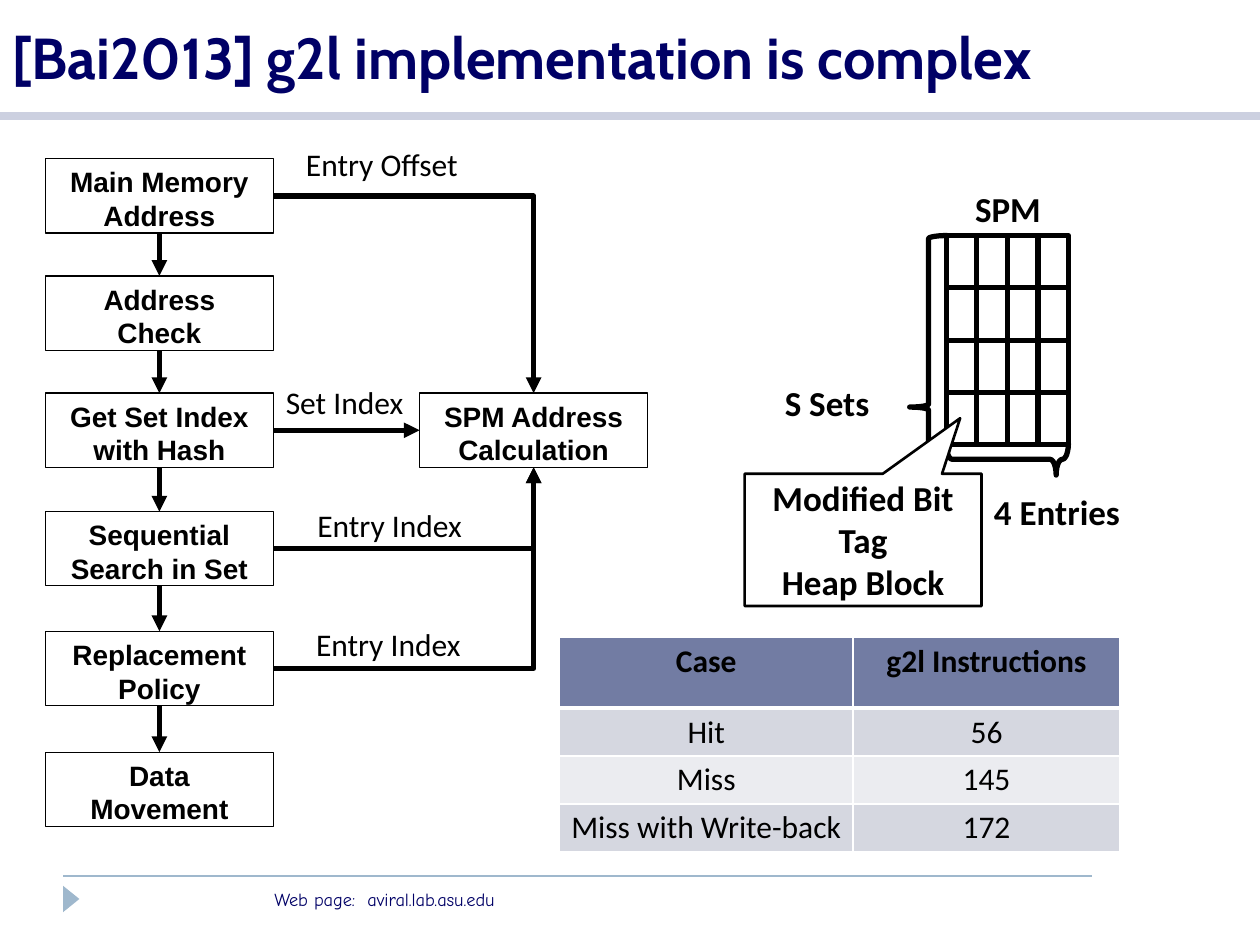
from lxml.etree import SubElement
from pptx import Presentation
from pptx.dml.color import RGBColor
from pptx.enum.shapes import MSO_CONNECTOR, MSO_SHAPE
from pptx.enum.text import MSO_ANCHOR, PP_ALIGN
from pptx.oxml.ns import qn
from pptx.util import Inches, Pt

COLORS = {
    "black": "000000", "white": "FFFFFF", "navy": "000066", "rule": "CCD0E0",
    "footer": "9FB8CD", "header": "727CA3", "band": "D5D7E0", "plain": "EBECF0",
}


def rgb(name):
    return RGBColor.from_string(COLORS[name])


class Deck:
    """Holds the style and the current slide, and draws each kind of element."""

    def __init__(self, prs):
        self.s = prs.slides.add_slide(prs.slide_layouts[6])

    def fill_text(self, tf, text, size, font="Calibri", color="black", bold=False,
                  align=PP_ALIGN.LEFT, anchor=MSO_ANCHOR.TOP):
        tf.text = text
        tf.word_wrap = True
        tf.vertical_anchor = anchor
        for p in tf.paragraphs:
            p.alignment = align
            for r in p.runs:
                r.font.size = Pt(size)
                r.font.name = font
                r.font.bold = bold
                r.font.color.rgb = rgb(color)

    def text(self, x, y, w, h, text, size, **style):
        sp = self.s.shapes.add_textbox(Inches(x), Inches(y), Inches(w), Inches(h))
        self.fill_text(sp.text_frame, text, size, **style)

    def shape(self, kind, x, y, w, h, fill=None, line=None, width=1, adj=(), rotation=0):
        sp = self.s.shapes.add_shape(kind, Inches(x), Inches(y), Inches(w), Inches(h))
        sp.shadow.inherit = False
        sp.rotation = rotation
        for i, value in enumerate(adj):
            sp.adjustments[i] = value
        if fill:
            sp.fill.solid()
            sp.fill.fore_color.rgb = rgb(fill)
        else:
            sp.fill.background()
        if line:
            sp.line.color.rgb = rgb(line)
            sp.line.width = Pt(width)
        else:
            sp.line.fill.background()
        return sp

    def box(self, x, y, text):
        sp = self.shape(MSO_SHAPE.RECTANGLE, x, y, 1.81, 0.59, "white", "black", 0.75)
        self.fill_text(sp.text_frame, text, 16, font="Arial", bold=True,
                       align=PP_ALIGN.CENTER)
        sp.text_frame.vertical_anchor = MSO_ANCHOR.TOP
        return sp

    def line(self, x1, y1, x2, y2, color="black", width=3, kind=MSO_CONNECTOR.STRAIGHT):
        c = self.s.shapes.add_connector(kind, Inches(x1), Inches(y1), Inches(x2), Inches(y2))
        c.line.color.rgb = rgb(color)
        c.line.width = Pt(width)
        SubElement(c._element.spPr, qn("a:effectLst"))
        return c

    def arrow(self, start, start_side, end, end_side, bent=False):
        kind = MSO_CONNECTOR.ELBOW if bent else MSO_CONNECTOR.STRAIGHT
        c = self.line(0, 0, 1, 1, kind=kind)
        c.begin_connect(start, start_side)
        c.end_connect(end, end_side)
        spPr = c._element.spPr
        if bent:
            spPr.find(qn("a:prstGeom")).set("prst", "bentConnector2")
        SubElement(spPr.find(qn("a:ln")), qn("a:tailEnd"), type="triangle")

    def cell(self, cell, text, fill, bold, top, bottom):
        cell.margin_left = cell.margin_right = Inches(0.08)
        cell.margin_top = cell.margin_bottom = Inches(0.04)
        self.fill_text(cell.text_frame, text, 18, bold=bold, align=PP_ALIGN.CENTER)
        tcPr = cell._tc.get_or_add_tcPr()
        for side, width in (("L", 1), ("R", 1), ("T", top), ("B", bottom)):
            ln = SubElement(tcPr, qn(f"a:ln{side}"), w=str(Pt(width)))
            SubElement(SubElement(ln, qn("a:solidFill")), qn("a:srgbClr"), val=COLORS["white"])
        cell.fill.solid()
        cell.fill.fore_color.rgb = rgb(fill)

    def table(self, x, y, widths, heights, rows):
        table = self.s.shapes.add_table(
            len(rows), len(widths), Inches(x), Inches(y),
            Inches(sum(widths)), Inches(sum(heights))).table
        for col, width in zip(table.columns, widths):
            col.width = Inches(width)
        for i, (row, height) in enumerate(zip(rows, heights)):
            table.rows[i].height = Inches(height)
            fill = "header" if i == 0 else "band" if i % 2 else "plain"
            for j, value in enumerate(row):
                self.cell(table.cell(i, j), value, fill, i == 0,
                          3 if i == 1 else 1, 3 if i == 0 else 1)


def draw_frame(deck):
    deck.line(0.5, 6.95, 8.67, 6.95, "footer", 1)
    deck.line(0, 0.92, 10, 0.92, "rule", 5)
    deck.shape(MSO_SHAPE.ISOSCELES_TRIANGLE, 0.46, 7.07, 0.21, 0.13, "footer", rotation=90)
    deck.text(2.08, 7, 3.75, 0.28, "Web page:  aviral.lab.asu.edu", 10.5,
              font="Comic Neue", color="navy")
    deck.text(0, 0, 10, 0.9, "[Bai2013] g2l implementation is complex", 33,
              font="Cabin", color="navy", bold=True, anchor=MSO_ANCHOR.MIDDLE)


def draw_flow(deck):
    steps = [(1.26, "Main Memory Address"), (2.19, "Address Check"),
             (3.12, "Get Set Index with Hash"), (4.06, "Sequential\nSearch in Set"),
             (5.01, "Replacement Policy"), (5.97, "Data Movement")]
    boxes = [deck.box(0.36, y, text) for y, text in steps]
    memory, _, set_index, search, policy, _ = boxes
    calculation = deck.box(3.33, 3.12, "SPM Address\nCalculation")
    for upper, lower in zip(boxes, boxes[1:]):
        deck.arrow(upper, 2, lower, 0)
    deck.arrow(set_index, 3, calculation, 1)
    deck.arrow(memory, 3, calculation, 0, bent=True)
    for source in (search, policy):
        deck.arrow(source, 3, calculation, 2, bent=True)
    for x, y, w, label in [(2.33, 1.1, 1.49, "Entry Offset"), (2.17, 2.99, 1.16, "Set Index"),
                           (2.42, 3.97, 1.48, "Entry Index"), (2.41, 4.91, 1.48, "Entry Index")]:
        deck.text(x, y, w, 0.4, label, 18)


def draw_spm(deck):
    x, y, w, h = 7.51, 1.87, 0.97, 1.66
    deck.shape(MSO_SHAPE.RECTANGLE, x, y, w, h, "white", "black", 3)
    for i in range(1, 4):
        deck.line(x, y + h * i / 4, x + w, y + h * i / 4)
        deck.line(x + w * i / 4, y, x + w * i / 4, y + h)
    deck.shape(MSO_SHAPE.LEFT_BRACE, 7.22, y, 0.3, h, line="black", width=3, adj=(0.08, 0.82))
    deck.shape(MSO_SHAPE.LEFT_BRACE, 7.87, 3.16, 0.25, w, line="black", width=3,
               adj=(0.24, 0.9), rotation=270)
    deck.text(6.13, 2.98, 1.02, 0.44, "S Sets", 20, bold=True)
    deck.text(7.71, 3.84, 1.36, 0.44, "4 Entries", 20, bold=True, align=PP_ALIGN.CENTER)
    deck.text(7.55, 1.44, 0.9, 0.44, "SPM", 20, bold=True, align=PP_ALIGN.CENTER)
    callout = deck.shape(MSO_SHAPE.RECTANGULAR_CALLOUT, 5.91, 3.76, 1.88, 1.05,
                         "white", "black", 1.5, adj=(0.41, -0.92))
    deck.fill_text(callout.text_frame, "Modified Bit\nTag\nHeap Block", 20, bold=True,
                   align=PP_ALIGN.CENTER, anchor=MSO_ANCHOR.MIDDLE)


def main():
    prs = Presentation()
    prs.slide_width, prs.slide_height = Inches(10), Inches(7.5)
    deck = Deck(prs)
    draw_frame(deck)
    draw_flow(deck)
    draw_spm(deck)
    deck.table(4.44, 5.06, [2.33, 2.12], [0.56, 0.37, 0.37, 0.37],
               [("Case", "g2l Instructions"), ("Hit", "56"), ("Miss", "145"),
                ("Miss with Write-back", "172")])
    prs.save("out.pptx")


if __name__ == "__main__":
    main()
